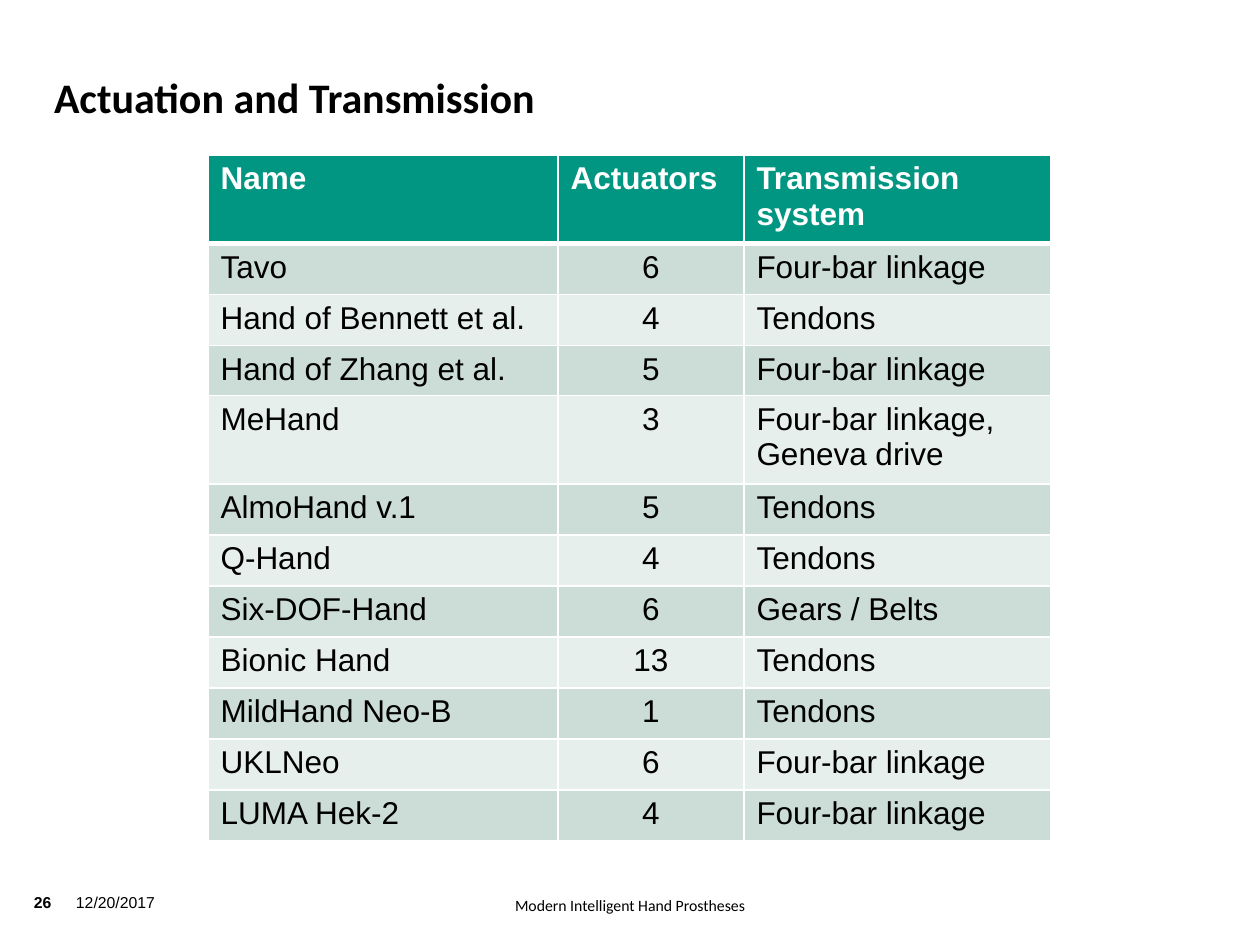
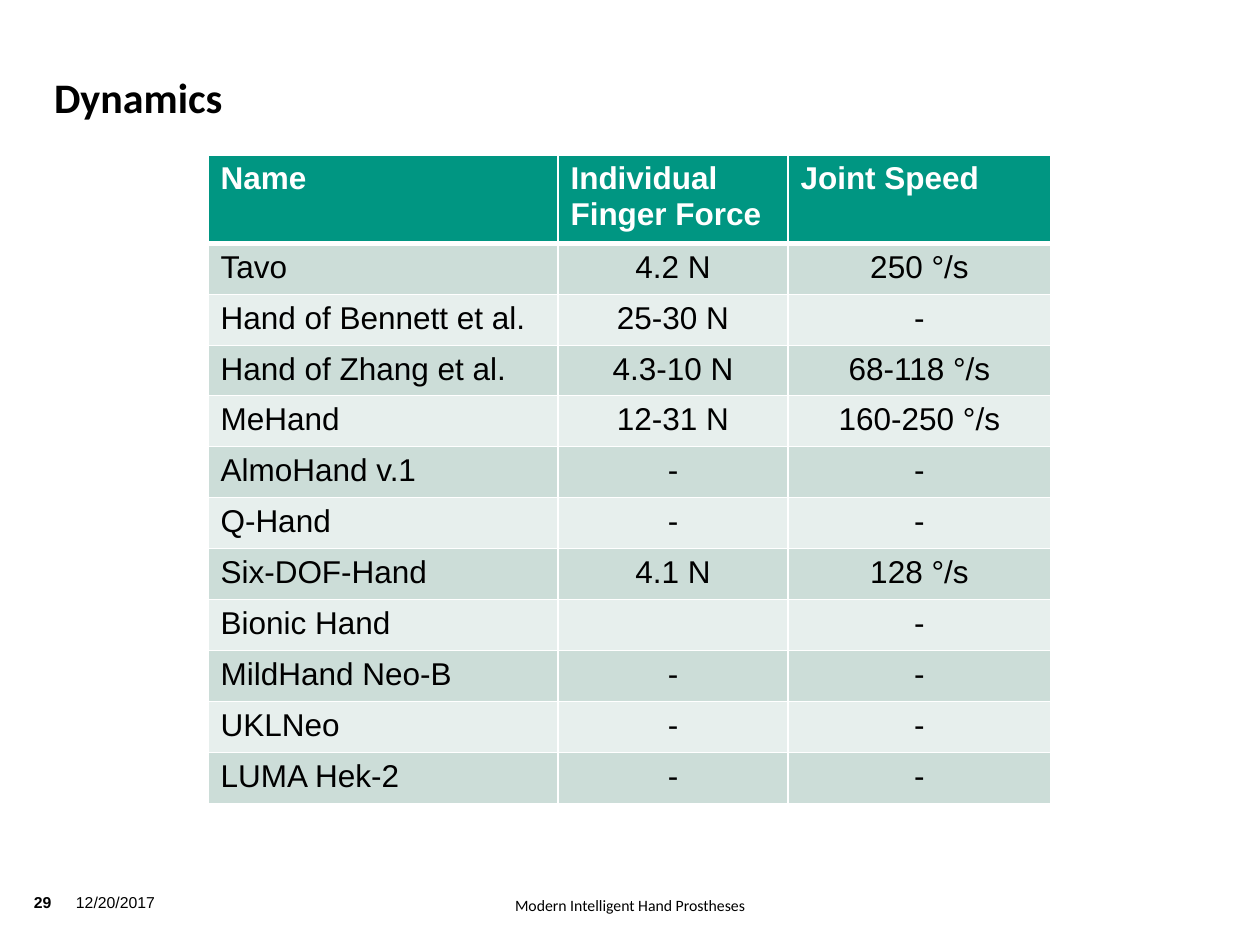
"""Builds two comparison tables of intelligent hand prostheses."""
from lxml.etree import SubElement
from pptx import Presentation
from pptx.dml.color import RGBColor
from pptx.enum.text import MSO_ANCHOR, PP_ALIGN
from pptx.oxml.ns import qn
from pptx.util import Pt

PX = 914400 / 126
BLACK = RGBColor(0x00, 0x00, 0x00)
WHITE = RGBColor(0xFF, 0xFF, 0xFF)
GREEN = RGBColor(0x00, 0x96, 0x82)
BANDS = (RGBColor(0xE7, 0xEF, 0xED), RGBColor(0xCC, 0xDD, 0xD8))
LEFT, CENTER = PP_ALIGN.LEFT, PP_ALIGN.CENTER

HANDS = ["Tavo", "Hand of Bennett et al.", "Hand of Zhang et al.", "MeHand",
         "AlmoHand v.1", "Q-Hand", "Six-DOF-Hand", "Bionic Hand",
         "MildHand Neo-B", "UKLNeo", "LUMA Hek-2"]
ACTUATORS = ["6", "4", "5", "3", "5", "4", "6", "13", "1", "6", "4"]
TRANSMISSIONS = ["Four-bar linkage", "Tendons", "Four-bar linkage",
                 "Four-bar linkage,\nGeneva drive", "Tendons", "Tendons",
                 "Gears / Belts", "Tendons", "Tendons", "Four-bar linkage",
                 "Four-bar linkage"]
FORCES = ["4.2 N", "25-30 N", "4.3-10 N", "12-31 N", "-", "-", "4.1 N", "",
          "-", "-", "-"]
SPEEDS = ["250 °/s", "-", "68-118 °/s", "160-250 °/s", "-", "-", "128 °/s",
          "-", "-", "-", "-"]


def px(n):
    """Turn pixels into EMU."""
    return round(n * PX)


class Deck:
    """Holds the presentation, its style and the current slide."""

    def __init__(self):
        """Start an empty 4:3 presentation."""
        self.prs = Presentation()
        self.prs.slide_width, self.prs.slide_height = px(1260), px(945)

    def slide(self, title, number):
        """Add a slide with its title and footer."""
        self.s = self.prs.slides.add_slide(self.prs.slide_layouts[6])
        self.text("Modern Intelligent Hand Prostheses", 208, 896, 844, 36,
                  font="Calibri", align=CENTER)
        self.text("12/20/2017", 76, 893, 118, 49)
        self.text(str(number), 34, 893, 45, 30, bold=True)
        self.text(title, 54, 45, 953, 77, font="Calibri", size=24, bold=True,
                  anchor=MSO_ANCHOR.BOTTOM)

    def format(self, tf, font="Arial", size=9, color=BLACK, bold=False,
               align=LEFT):
        """Style every paragraph and run of a text frame."""
        for p in tf.paragraphs:
            p.alignment = align
            for r in p.runs:
                r.font.name, r.font.size, r.font.bold = font, Pt(size), bold
                r.font.color.rgb = color

    def text(self, text, x, y, w, h, anchor=MSO_ANCHOR.TOP, **style):
        """Add a text box without margins."""
        tf = self.s.shapes.add_textbox(px(x), px(y), px(w), px(h)).text_frame
        tf.word_wrap, tf.vertical_anchor = True, anchor
        tf.margin_left = tf.margin_right = tf.margin_top = tf.margin_bottom = 0
        tf.text = text
        self.format(tf, **style)

    def borders(self, cell, top, bottom):
        """Draw white cell borders, one point wide at the sides."""
        tc_pr = cell._tc.get_or_add_tcPr()
        for side, width in zip("LRTB", (1, 1, top, bottom)):
            ln = SubElement(tc_pr, qn(f"a:ln{side}"), w=str(Pt(width)))
            fill = SubElement(ln, qn("a:solidFill"))
            SubElement(fill, qn("a:srgbClr"), val=str(WHITE))

    def table(self, header, columns, widths, aligns):
        """Add a banded table from a header and its columns."""
        rows = [header, *zip(*columns)]
        table = self.s.shapes.add_table(len(rows), len(header), px(208), px(155),
                                        px(sum(widths)), px(51 * len(rows))).table
        table.horz_banding = False
        for column, width in zip(table.columns, widths):
            column.width = px(width)
        table.rows[3].height = px(48)
        for i, row in enumerate(rows):
            head = i == 0
            for j, value in enumerate(row):
                cell = table.cell(i, j)
                self.borders(cell, 3 if i == 1 else 1, 3 if head else 1)
                cell.fill.solid()
                cell.fill.fore_color.rgb = GREEN if head else BANDS[i % 2]
                cell.text_frame.text = value
                self.format(cell.text_frame, size=18, bold=head,
                            color=WHITE if head else BLACK,
                            align=LEFT if head else aligns[j])


def main():
    """Build both slides and save them."""
    deck = Deck()
    deck.slide("Actuation and Transmission", 26)
    deck.table(["Name", "Actuators", "Transmission system"],
               [HANDS, ACTUATORS, TRANSMISSIONS], [350, 186, 307],
               [LEFT, CENTER, LEFT])
    deck.slide("Dynamics", 29)
    deck.table(["Name", "Individual Finger Force", "Joint Speed"],
               [HANDS, FORCES, SPEEDS], [350, 230, 263],
               [LEFT, CENTER, CENTER])
    deck.prs.save("out.pptx")


if __name__ == "__main__":
    main()
